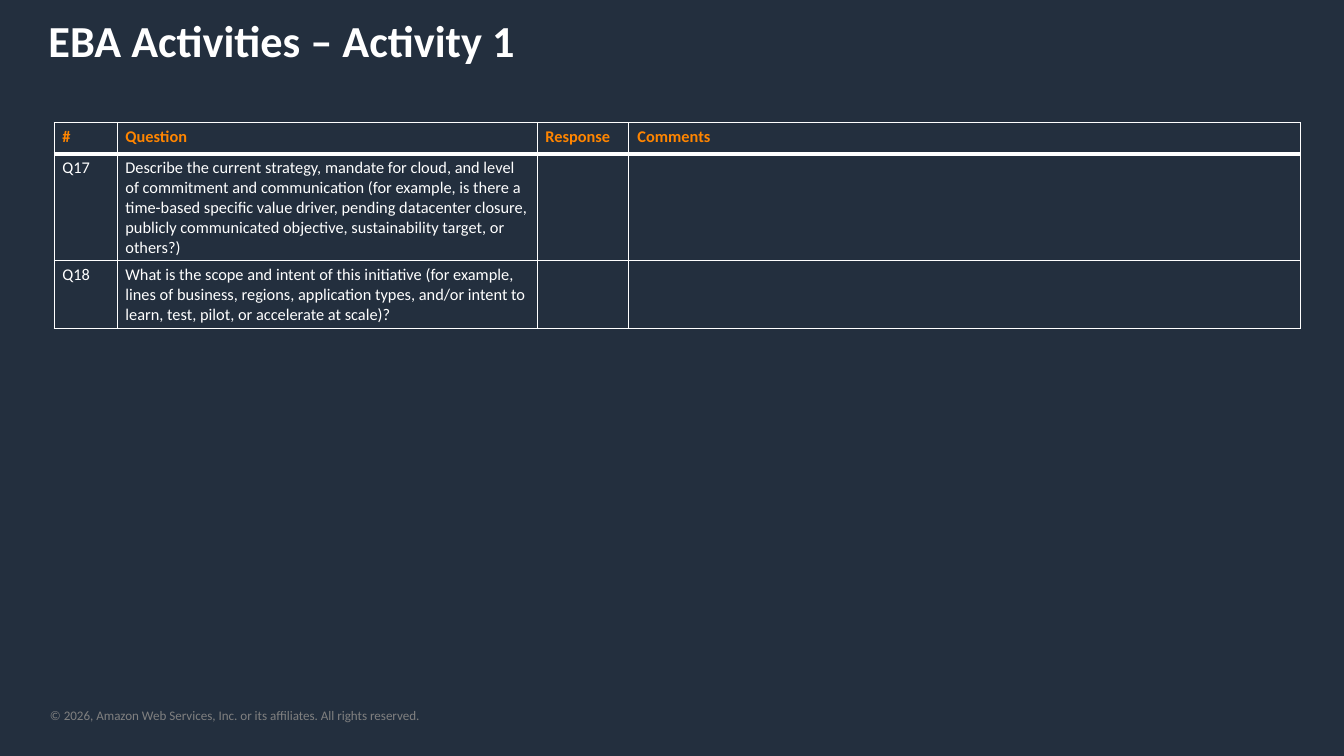
"""Build the EBA Activity 1 slide with its questionnaire table."""
from lxml.etree import SubElement
from pptx import Presentation
from pptx.dml.color import RGBColor
from pptx.enum.text import MSO_ANCHOR as Anchor, MSO_AUTO_SIZE as AutoSize, PP_ALIGN as Align
from pptx.oxml.ns import qn
from pptx.util import Emu, Pt

PX_PER_INCH = 84
FONT = "Calibri"
COLORS = {"background": "232F3E", "text": "FFFFFF", "header": "FF8500", "footer": "808080"}

COLUMN_WIDTHS = [63, 420, 92, 672]
ROW_HEIGHTS = [31, 107, 67]
QUESTIONS = [
    ["#", "Question", "Response", "Comments"],
    ["Q17", "Describe the current strategy, mandate for cloud, and level of commitment and "
            "communication (for example, is there a time-based specific value driver, pending "
            "datacenter closure, publicly communicated objective, sustainability target, or "
            "others?)", "", ""],
    ["Q18", "What is the scope and intent of this initiative (for example, lines of business, "
            "regions, application types, and/or intent to learn, test, pilot, or accelerate "
            "at scale)?", "", ""],
]


def px(length):
    """Turn pixels into EMU."""
    return Emu(round(length * 914400 / PX_PER_INCH))


def write(frame, text, size, color, bold=False):
    """Put one left-aligned paragraph into a text frame."""
    frame.text = text
    paragraph = frame.paragraphs[0]
    paragraph.alignment = Align.LEFT
    font = paragraph.font
    font.name, font.size, font.bold = FONT, Pt(size), bold
    font.color.rgb = RGBColor.from_string(COLORS[color])


def add_title(slide, text):
    """Place the slide title in its placeholder."""
    title = slide.shapes.title
    title.left, title.top, title.width, title.height = map(px, (40, 9, 1282, 62))
    frame = title.text_frame
    frame.auto_size = AutoSize.NONE
    frame.vertical_anchor = Anchor.TOP
    write(frame, text, 38, "text", bold=True)


def add_footer(slide, text):
    """Place the copyright line at the bottom."""
    frame = slide.shapes.add_textbox(*map(px, (50, 707, 654, 16))).text_frame
    frame.word_wrap = True
    frame.margin_left = frame.margin_top = frame.margin_right = frame.margin_bottom = 0
    write(frame, text, 11.2, "footer")


def set_borders(cell, top, bottom):
    """Draw the cell's borders, with top and bottom widths in points."""
    properties = cell._tc.get_or_add_tcPr()
    for side, width in (("L", 1), ("R", 1), ("T", top), ("B", bottom)):
        line = SubElement(properties, qn(f"a:ln{side}"), w=str(Pt(width)))
        fill = SubElement(line, qn("a:solidFill"))
        SubElement(fill, qn("a:srgbClr"), val=COLORS["text"])


def add_questions(slide, left, top):
    """Add the table of questions with a heavy rule under its header."""
    table = slide.shapes.add_table(
        len(ROW_HEIGHTS), len(COLUMN_WIDTHS), px(left), px(top),
        px(sum(COLUMN_WIDTHS)), px(sum(ROW_HEIGHTS))).table
    table.first_row = table.horz_banding = False
    for column, width in zip(table.columns, COLUMN_WIDTHS):
        column.width = px(width)
    for row, height in zip(table.rows, ROW_HEIGHTS):
        row.height = px(height)
    for r, texts in enumerate(QUESTIONS):
        is_header = r == 0
        for c, text in enumerate(texts):
            cell = table.cell(r, c)
            write(cell.text_frame, text, 14, "header" if is_header else "text", is_header)
            set_borders(cell, top=3 if r == 1 else 1, bottom=3 if is_header else 1)
            cell.fill.background()


def main():
    """Build and save the presentation."""
    deck = Presentation()
    deck.slide_width, deck.slide_height = px(1344), px(756)
    slide = deck.slides.add_slide(deck.slide_layouts[5])
    background = slide.background.fill
    background.solid()
    background.fore_color.rgb = RGBColor.from_string(COLORS["background"])
    add_footer(slide, "© 2026, Amazon Web Services, Inc. or its affiliates. All rights reserved.")
    add_title(slide, "EBA Activities – Activity 1")
    add_questions(slide, 54, 123)
    deck.save("out.pptx")


if __name__ == "__main__":
    main()
